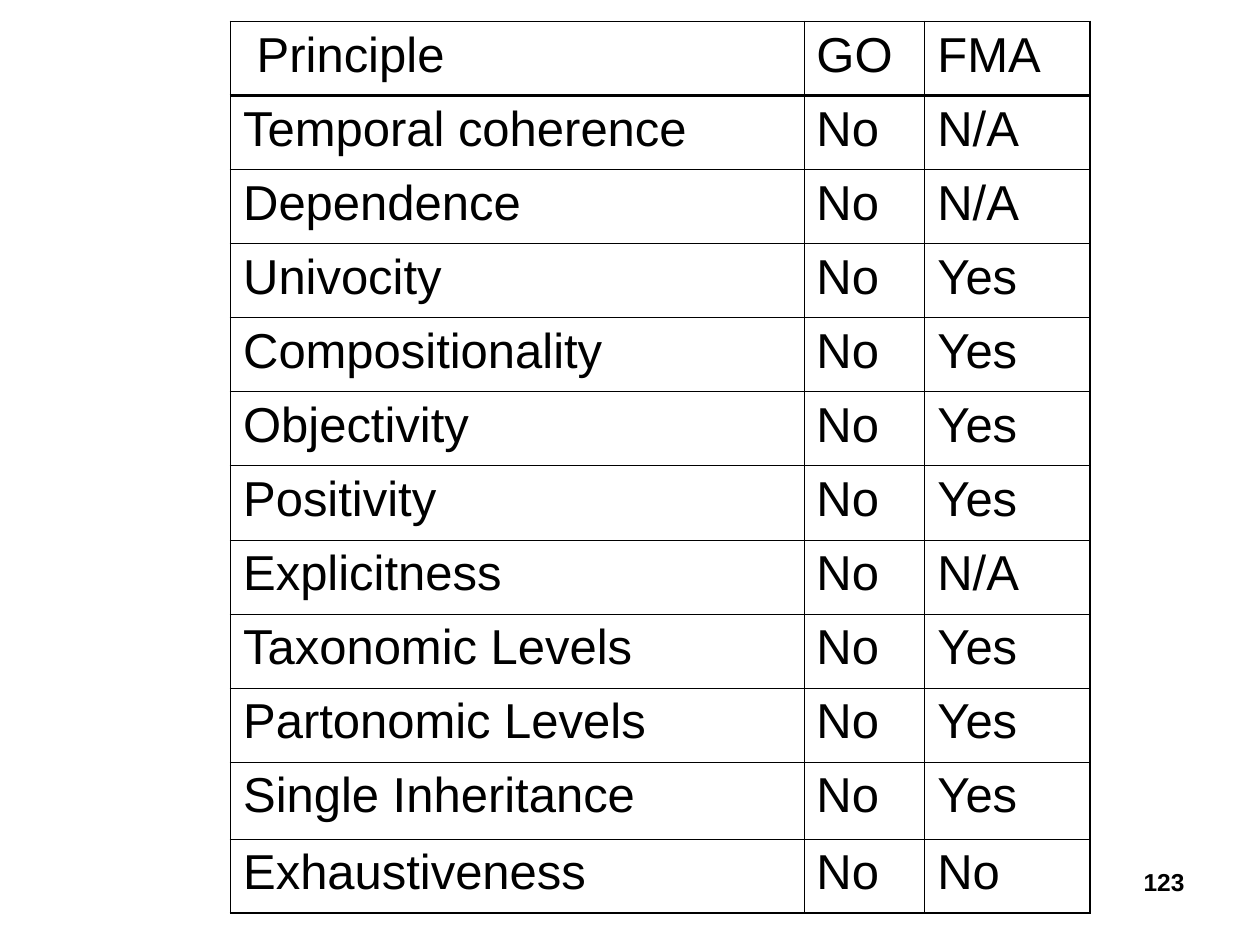
import lxml.etree
import pptx
import pptx.dml.color
import pptx.enum.text
import pptx.oxml.ns
import pptx.util

Inches = pptx.util.Inches
Pt = pptx.util.Pt
BLACK = pptx.dml.color.RGBColor(0x00, 0x00, 0x00)
FONT = "Arial"

# Line widths in points
INNER = 0.45
OUTER = 1.08
HEADER = 1.47

COLUMN_WIDTHS = [4.55, 0.96, 1.31]
TABLE_HEIGHT = 7.08
INHERITANCE_HEIGHT = 0.61
ROWS = [
    (" Principle", "GO", "FMA"),
    ("Temporal coherence", "No", "N/A"),
    ("Dependence", "No", "N/A"),
    ("Univocity", "No", "Yes"),
    ("Compositionality", "No", "Yes"),
    ("Objectivity", "No", "Yes"),
    ("Positivity", "No", "Yes"),
    ("Explicitness", "No", "N/A"),
    ("Taxonomic Levels", "No", "Yes"),
    ("Partonomic Levels", "No", "Yes"),
    ("Single Inheritance", "No", "Yes"),
    ("Exhaustiveness", "No", "No"),
]


def style_paragraph(paragraph, size, bold=False):
    paragraph.font.name = FONT
    paragraph.font.size = Pt(size)
    paragraph.font.bold = bold
    paragraph.font.color.rgb = BLACK


def add_border(cell, side, width):
    properties = cell._tc.get_or_add_tcPr()
    qn = pptx.oxml.ns.qn
    line = lxml.etree.SubElement(properties, qn(f"a:ln{side}"), w=str(Pt(width)))
    fill = lxml.etree.SubElement(line, qn("a:solidFill"))
    lxml.etree.SubElement(fill, qn("a:srgbClr"), val=str(BLACK))


def border_widths(row, column):
    """Heavier frame around the table and heaviest rule under the header."""
    last_row, last_column = len(ROWS) - 1, len(COLUMN_WIDTHS) - 1
    return {
        "L": OUTER if column == 0 else INNER,
        "R": OUTER if column == last_column else INNER,
        "T": {0: OUTER, 1: HEADER}.get(row, INNER),
        "B": {0: HEADER, last_row: OUTER}.get(row, INNER),
    }


def add_principles_table(slide):
    table = slide.shapes.add_table(
        len(ROWS), len(COLUMN_WIDTHS), Inches(1.83), Inches(0.17),
        Inches(sum(COLUMN_WIDTHS)), Inches(TABLE_HEIGHT)).table
    table.first_row = False
    table.horz_banding = False

    for column, width in zip(table.columns, COLUMN_WIDTHS):
        column.width = Inches(width)

    # Equal rows, apart from the slightly taller inheritance row
    row_height = (TABLE_HEIGHT - INHERITANCE_HEIGHT) / (len(ROWS) - 1)
    for row, values in zip(table.rows, ROWS):
        taller = values[0] == "Single Inheritance"
        row.height = Inches(INHERITANCE_HEIGHT if taller else row_height)

    for row_index, values in enumerate(ROWS):
        for column_index, value in enumerate(values):
            cell = table.cell(row_index, column_index)
            cell.text = value
            style_paragraph(cell.text_frame.paragraphs[0], 28)
            for side, width in border_widths(row_index, column_index).items():
                add_border(cell, side, width)
            cell.fill.background()


def add_slide_number(slide, number):
    text_box = slide.shapes.add_textbox(
        Inches(7.17), Inches(6.83), Inches(2.33), Inches(0.52))
    text_box.text_frame.word_wrap = True
    paragraph = text_box.text_frame.paragraphs[0]
    paragraph.text = number
    paragraph.alignment = pptx.enum.text.PP_ALIGN.RIGHT
    style_paragraph(paragraph, 14, bold=True)


def main():
    presentation = pptx.Presentation()
    presentation.slide_width = Inches(10)
    presentation.slide_height = Inches(7.5)
    slide = presentation.slides.add_slide(presentation.slide_layouts[6])
    add_principles_table(slide)
    add_slide_number(slide, "123")
    presentation.save("out.pptx")


if __name__ == "__main__":
    main()
